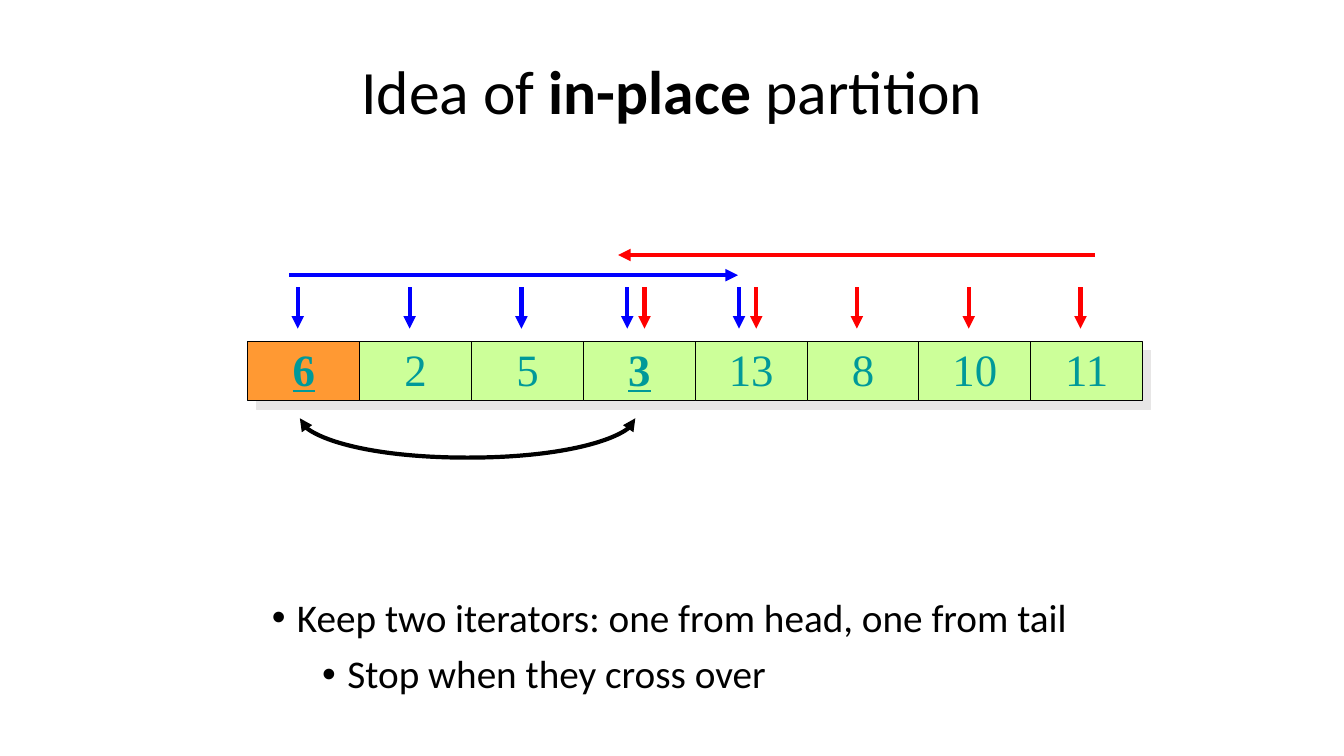
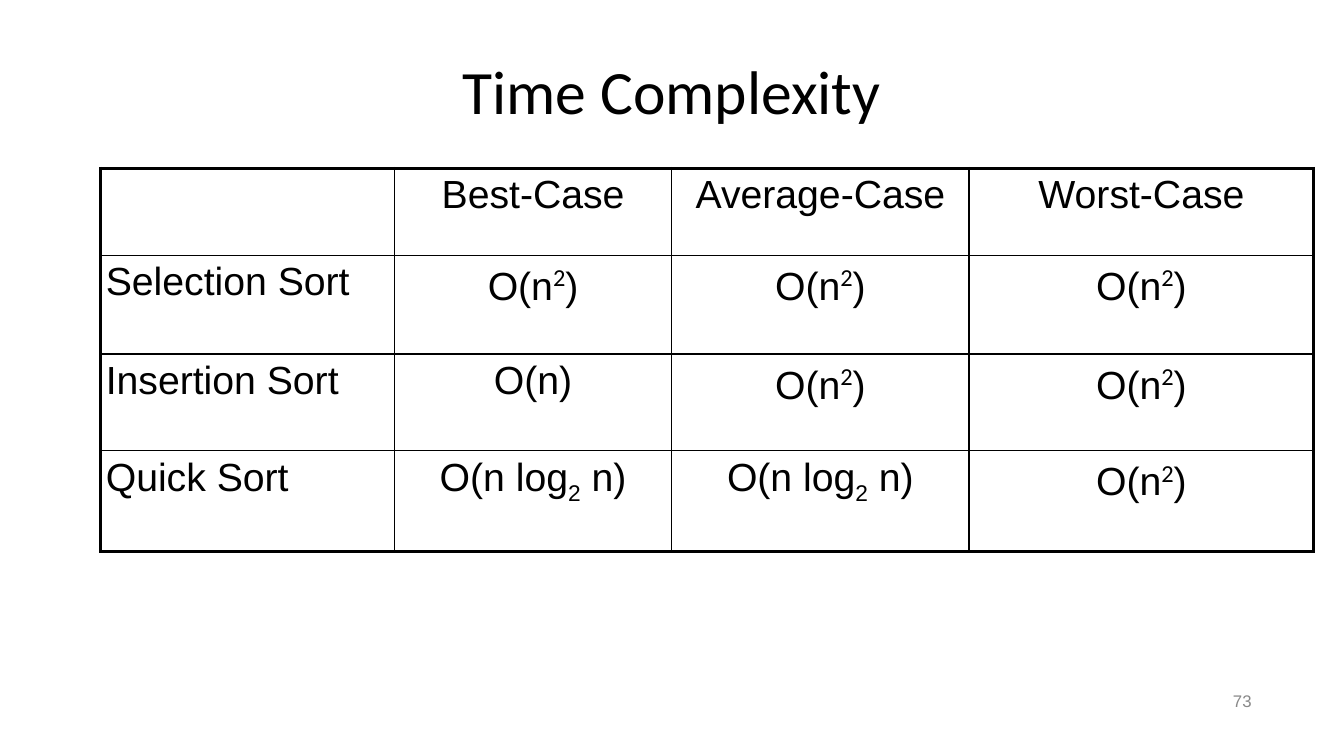
from pptx import Presentation
from pptx.dml.color import RGBColor
from pptx.enum.shapes import MSO_CONNECTOR, MSO_SHAPE
from pptx.enum.text import MSO_ANCHOR, PP_ALIGN
from pptx.oxml.ns import qn
from pptx.util import Inches, Pt
from lxml.etree import SubElement

WIDTH = Inches(13.33)
HEIGHT = Inches(7.5)

COLORS = {
    "text": "000000",
    "digit": "009999",
    "pivot": "FF9933",
    "item": "CCFF99",
    "shadow": "E7E6E6",
    "head": "0000FF",
    "tail": "FF0000",
    "number": "888888",
}

TITLE = {"name": "Calibri", "size": Pt(44), "color": "text"}
BODY = {"name": "Calibri", "size": Pt(28), "color": "text"}
DIGIT = {"name": "Times New Roman", "size": Pt(32), "color": "digit"}
SWAPPED = {**DIGIT, "bold": True, "underline": True}
ENTRY = {"name": "Arial", "size": Pt(28), "color": "text"}
POWER = {**BODY, "size": Pt(30), "baseline": 32}
BASE = {**ENTRY, "baseline": -25}
NUMBER = {"name": "Arial", "size": Pt(12), "color": "number"}

CELL_LEFT, CELL_PITCH = 18.45, 8.32
CELL_TOP, CELL_HEIGHT = 45.2, 7.8
DIGIT_TOP, DIGIT_HEIGHT = 44.67, 8.27
VALUES = [6, 2, 5, 3, 13, 8, 10, 11]
SWAP = (0, 3)
HEAD_STOPS = range(0, 5)
TAIL_STOPS = range(3, 8)

SQUARE = [("O(n", ENTRY), ("2", POWER), (")", ENTRY)]
LINEAR = [("O(n)", ENTRY)]
LOGARITHMIC = [("O(n log", ENTRY), ("2", BASE), (" n)", ENTRY)]
HEADINGS = ["Best-Case", "Average-Case", "Worst-Case"]
SORTS = {
    "Selection Sort": [SQUARE, SQUARE, SQUARE],
    "Insertion Sort": [LINEAR, SQUARE, SQUARE],
    "Quick Sort": [LOGARITHMIC, LOGARITHMIC, SQUARE],
}
COLUMN_WIDTHS = [21.85, 20.63, 22.13, 25.65]
ROW_HEIGHTS = [11.5, 13.07, 12.8, 13.33]


def across(share):
    return round(WIDTH * share / 100)


def down(share):
    return round(HEIGHT * share / 100)


def area(left, top, width, height):
    return across(left), down(top), across(width), down(height)


def color(name):
    return RGBColor.from_string(COLORS[name])


def apply(target, values):
    for name, value in values.items():
        setattr(target, name, value)


def margins(size):
    sides = ("left", "top", "right", "bottom")
    return {f"margin_{side}": Inches(size) for side in sides}


def write(para, spans, align=PP_ALIGN.LEFT, spacing=None):
    apply(para, {"alignment": align, "line_spacing": spacing})
    for text, style in spans:
        span = para.add_run()
        span.text = text
        for name, value in style.items():
            if name == "color":
                span.font.color.rgb = color(value)
            elif name == "baseline":
                span.font._element.set("baseline", str(value * 1000))
            else:
                setattr(span.font, name, value)


def add_text_box(page, place, anchor, margin=0.05):
    frame = page.shapes.add_textbox(*area(*place)).text_frame
    apply(frame, {"word_wrap": True, "vertical_anchor": anchor, **margins(margin)})
    return frame


def add_title(page, spans):
    frame = add_text_box(page, (6.87, 5.33, 86.25, 14.27), MSO_ANCHOR.MIDDLE)
    write(frame.paragraphs[0], spans, PP_ALIGN.CENTER, 0.9)


def add_page_number(page, number):
    frame = add_text_box(page, (70.63, 90.7, 22.5, 3.87), MSO_ANCHOR.MIDDLE, 0)
    write(frame.paragraphs[0], [(number, NUMBER)], PP_ALIGN.RIGHT)


def add_bullets(page, place, lines):
    frame = add_text_box(page, place, MSO_ANCHOR.TOP)
    for index, (level, text) in enumerate(lines):
        para = frame.add_paragraph() if index else frame.paragraphs[0]
        para.level = level
        props = para._p.get_or_add_pPr()
        props.set("marL", str(Inches(0.25 + 0.5 * level)))
        props.set("indent", str(Inches(-0.25)))
        SubElement(props, qn("a:buFont")).set("typeface", "Arial")
        SubElement(props, qn("a:buChar")).set("char", "•")
        if index:
            para.space_before = Pt(10)
        write(para, [(text, BODY)], spacing=0.9)


def style_arrow(line, tint, ends):
    line.color.rgb = color(tint)
    line.width = Pt(3)
    for end in ends:
        SubElement(line._get_or_add_ln(), qn(f"a:{end}")).set("type", "triangle")


def add_arrow(page, start, end, tint):
    arrow = page.shapes.add_connector(
        MSO_CONNECTOR.STRAIGHT,
        across(start[0]), down(start[1]), across(end[0]), down(end[1]))
    style_arrow(arrow.line, tint, ["tailEnd"])
    SubElement(arrow._element.spPr, qn("a:effectLst"))


def bend_segments(shape):
    outline = next(shape._element.iter(qn("a:pathLst")))[0]
    segments = outline.findall(qn("a:lnTo"))
    for start in range(0, len(segments), 3):
        curve = SubElement(outline, qn("a:cubicBezTo"))
        for segment in segments[start:start + 3]:
            curve.append(segment[0])
            outline.remove(segment)


def add_swap_arc(page, left, right, top, bottom):
    middle, waist = (left + right) / 2, (top + bottom) / 2
    points = [
        (left, top), (left, waist), ((left + middle) / 2, bottom), (middle, bottom),
        ((middle + right) / 2, bottom), (right, waist), (right, top),
    ]
    first, *rest = [(across(x), down(y)) for x, y in points]
    builder = page.shapes.build_freeform(*first)
    builder.add_line_segments(rest, close=False)
    arc = builder.convert_to_shape()
    bend_segments(arc)
    arc.shadow.inherit = False
    arc.fill.background()
    style_arrow(arc.line, "text", ["headEnd", "tailEnd"])


def add_shadow(shape):
    shape.shadow.inherit = False
    effects = shape._element.spPr.find(qn("a:effectLst"))
    shadow = SubElement(effects, qn("a:outerShdw"))
    for name, value in {"dist": Pt(8.5), "dir": 45 * 60000, "algn": "ctr",
                        "rotWithShape": 0}.items():
        shadow.set(name, str(value))
    SubElement(shadow, qn("a:srgbClr")).set("val", COLORS["shadow"])


def centre(index):
    return CELL_LEFT + CELL_PITCH * (index + 0.5)


def add_array_cell(page, index, value):
    left = CELL_LEFT + CELL_PITCH * index
    cell = page.shapes.add_shape(
        MSO_SHAPE.RECTANGLE, *area(left, CELL_TOP, CELL_PITCH, CELL_HEIGHT))
    add_shadow(cell)
    cell.fill.solid()
    cell.fill.fore_color.rgb = color("item" if index else "pivot")
    cell.line.color.rgb = color("text")
    cell.line.width = Pt(0.75)
    frame = add_text_box(page, (left, DIGIT_TOP, CELL_PITCH, DIGIT_HEIGHT),
                         MSO_ANCHOR.BOTTOM)
    style = SWAPPED if index in SWAP else DIGIT
    write(frame.paragraphs[0], [(str(value), style)], PP_ALIGN.CENTER)


def add_iterator_stops(page, stops, others, tint, shared_shift):
    for index in stops:
        x = centre(index) + (shared_shift if index in others else -0.45)
        add_arrow(page, (x, 38), (x, 43.47), tint)


def set_borders(cell, widths):
    props = cell._tc.get_or_add_tcPr()
    for side, width in widths.items():
        line = SubElement(props, qn(f"a:ln{side}"))
        line.set("w", str(Pt(width)))
        fill = SubElement(line, qn("a:solidFill"))
        SubElement(fill, qn("a:srgbClr")).set("val", COLORS["text"])


def add_complexity_table(page):
    rows = [[[]] + [[(text, ENTRY)] for text in HEADINGS]]
    rows += [[[(name, ENTRY)]] + costs for name, costs in SORTS.items()]
    last_row, last_column = len(rows) - 1, len(HEADINGS)
    table = page.shapes.add_table(len(rows), last_column + 1, *area(
        7.5, 22.27, sum(COLUMN_WIDTHS), sum(ROW_HEIGHTS))).table
    apply(table, {"first_row": False, "horz_banding": False})
    for column, share in zip(table.columns, COLUMN_WIDTHS):
        column.width = across(share)
    for row, share in zip(table.rows, ROW_HEIGHTS):
        row.height = down(share)
    for r, row in enumerate(rows):
        for c, spans in enumerate(row):
            cell = table.cell(r, c)
            outer = {"L": c == 0, "R": c == last_column, "T": r == 0, "B": r == last_row}
            set_borders(cell, {side: 2.25 if edge else 1 for side, edge in outer.items()})
            cell.fill.background()
            apply(cell, margins(0.05))
            write(cell.text_frame.paragraphs[0], spans,
                  PP_ALIGN.CENTER if c else PP_ALIGN.LEFT)


def build_partition(page):
    add_title(page, [("Idea of ", TITLE), ("in-place", {**TITLE, "bold": True}),
                     (" partition", TITLE)])
    for index, value in enumerate(VALUES):
        add_array_cell(page, index, value)
    left, right = (centre(index) - 0.3 for index in SWAP)
    add_swap_arc(page, left, right, 55.33, 60.53)
    add_bullets(page, (19.85, 78.53, 63.31, 19.2), [
        (0, "Keep two iterators: one from head, one from tail"),
        (1, "Stop when they cross over"),
    ])
    add_iterator_stops(page, HEAD_STOPS, TAIL_STOPS, "head", -0.9)
    add_iterator_stops(page, TAIL_STOPS, HEAD_STOPS, "tail", 0.38)
    add_arrow(page, (21.53, 36.4), (54.91, 36.4), "head")
    add_arrow(page, (81.47, 33.73), (45.99, 33.73), "tail")


def build_complexity(page):
    add_page_number(page, "73")
    add_title(page, [("Time Complexity", TITLE)])
    add_complexity_table(page)


def main():
    deck = Presentation()
    apply(deck, {"slide_width": WIDTH, "slide_height": HEIGHT})
    for build in (build_partition, build_complexity):
        build(deck.slides.add_slide(deck.slide_layouts[6]))
    deck.save("out.pptx")


if __name__ == "__main__":
    main()
